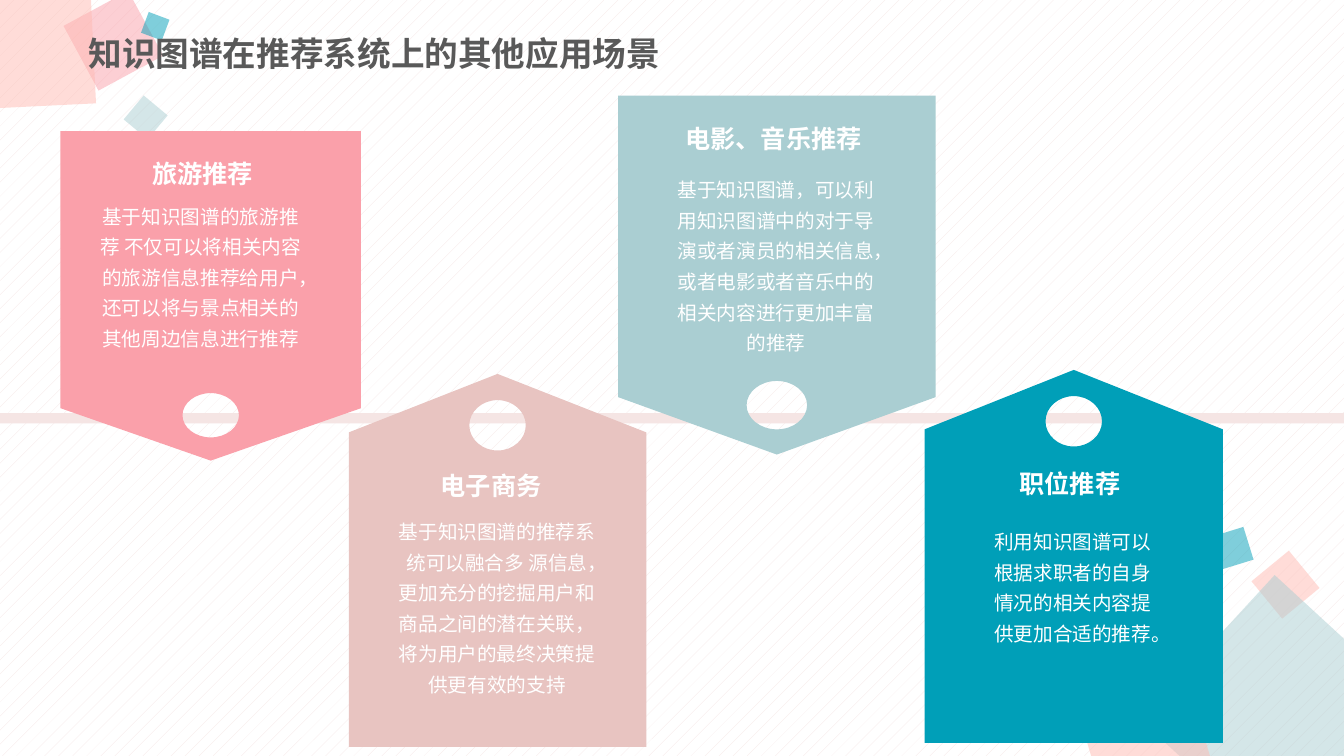
from collections import namedtuple

from lxml.etree import SubElement
from pptx import Presentation
from pptx.dml.color import RGBColor
from pptx.enum.dml import MSO_PATTERN
from pptx.enum.shapes import MSO_SHAPE as SHAPE
from pptx.enum.text import MSO_ANCHOR as ANCHOR, MSO_AUTO_SIZE as AUTO_SIZE, PP_ALIGN as ALIGN
from pptx.oxml.ns import qn
from pptx.util import Inches, Pt

WHITE = RGBColor(0xFF, 0xFF, 0xFF)
GREY = RGBColor(0x59, 0x59, 0x59)
PALE = RGBColor(0xF5, 0xE5, 0xE4)
PEACH = RGBColor(0xFF, 0xBB, 0xB3)
PINK = RGBColor(0xFA, 0xA0, 0xAA)
ROSE = RGBColor(0xE8, 0xC4, 0xC1)
MIST = RGBColor(0xAA, 0xCE, 0xD2)
TEAL = RGBColor(0x00, 0x9F, 0xB8)

CJK_FONT = "Noto Sans CJK SC"
HEADING_FONT = "TeX Gyre Adventor"

# left, top, side, rotation, colour
SQUARES = [
    (12.51, 5.56, 0.48, 320.6, PEACH),
    (11.72, 6.11, 1.96, 42.6, MIST),
    (10.75, 6.61, 1.13, 343.4, PEACH),
    (10.09, 6.73, 0.29, 342.8, PINK),
    (12.05, 5.27, 0.34, 342.8, TEAL),
    (0.76, 0.04, 0.73, 331.6, PINK),
    (-0.46, -0.32, 1.38, 357.2, PEACH),
    (1.29, 1.01, 0.31, 309.8, MIST),
    (1.43, 0.15, 0.22, 290.5, TEAL),
]

# The outline runs from tip to shoulder to base; hole is centre y, radius x, radius y.
# Heading and body areas are left, top, width, height.
Tag = namedtuple("Tag", "left width tip shoulder base hole colour "
                        "heading heading_area body body_area")
TAGS = [
    Tag(0.6, 2.98, 4.57, 4.05, 1.3, (4.12, 0.28, 0.22), PINK,
        "旅游推荐", (1.07, 1.43, 1.88, 0.46),
        "基于知识图谱的旅游推荐 不仅可以将相关内容的旅游信息推荐给用户，"
        "还可以将与景点相关的其他周边信息进行推荐", (0.85, 1.91, 2.28, 1.63)),
    Tag(3.46, 2.95, 3.71, 4.29, 7.41, (4.22, 0.28, 0.25), ROSE,
        "电子商务", (3.93, 4.53, 1.88, 0.46),
        "基于知识图谱的推荐系统可以融合多 源信息，更加充分的挖掘用户和"
        "商品之间的潜在关联， 将为用户的最终决策提供更有效的支持",
        (3.84, 5.04, 2.18, 1.94)),
    Tag(6.13, 3.15, 4.51, 3.94, 0.95, (4.02, 0.3, 0.24), MIST,
        "电影、音乐推荐 ", (6.57, 1.08, 2.26, 0.49),
        "基于知识图谱，可以利用知识图谱中的对于导演或者演员的相关信息，"
        "或者电影或者音乐中的相关内容进行更加丰富的推荐",
        (6.57, 1.65, 2.25, 1.94)),
    Tag(9.17, 2.96, 3.67, 4.26, 7.37, (4.18, 0.28, 0.25), TEAL,
        "职位推荐 ", (9.7, 4.51, 1.88, 0.46),
        "利用知识图谱可以根据求职者的自身情况的相关内容提供更加合适的推荐。",
        (9.7, 5.14, 1.88, 1.33)),
]


def paint(shape, colour):
    """Give a shape a plain fill without line or shadow."""
    shape.shadow.inherit = False
    shape.fill.solid()
    shape.fill.fore_color.rgb = colour
    shape.line.fill.background()


def add_rectangle(page, area, colour):
    """Add a plain rectangle at left, top, width, height."""
    shape = page.shapes.add_shape(SHAPE.RECTANGLE, *map(Inches, area))
    paint(shape, colour)
    return shape


def add_square(page, left, top, side, rotation, colour):
    """Add a turned, half-transparent decorative square."""
    square = add_rectangle(page, (left, top, side, side), colour)
    square.rotation = rotation
    fill_colour = square.fill._xPr.find(qn("a:solidFill"))[0]
    SubElement(fill_colour, qn("a:alpha")).set("val", "50000")


def add_text(page, area, text, size, font, colour=WHITE, bold=False):
    """Add a wrapped one-paragraph text box; return its frame and paragraph."""
    frame = page.shapes.add_textbox(*map(Inches, area)).text_frame
    frame.word_wrap = True
    para = frame.paragraphs[0]
    span = para.add_run()
    span.text = text
    span.font.size = Pt(size)
    span.font.name = font
    span.font.bold = bold
    span.font.color.rgb = colour
    SubElement(span.font._element, qn("a:ea")).set("typeface", CJK_FONT)
    return frame, para


def add_title(page, text):
    """Add the slide title."""
    frame, para = add_text(page, (0.78, 0.26, 6.13, 0.58), text, 24, CJK_FONT, GREY, True)
    frame.vertical_anchor = ANCHOR.MIDDLE
    para.line_spacing = 0.9
    para.space_before = Pt(10)


def add_tag_text(page, area, text, size, font, bold=False):
    """Add centred white text on a tag."""
    frame, para = add_text(page, area, text, size, font, bold=bold)
    frame.auto_size = AUTO_SIZE.SHAPE_TO_FIT_TEXT
    para.alignment = ALIGN.CENTER
    para.line_spacing = 1.3


def cut_hole(shape, middle, centre, radius_x, radius_y):
    """Cut an ellipse of four curves out of a freeform."""
    outline = next(shape._element.iter(qn("a:path")))

    def add_step(kind, *points):
        step = SubElement(outline, qn(kind))
        for x, y in points:
            point = SubElement(step, qn("a:pt"))
            point.set("x", str(Inches(middle + radius_x * x) - shape.left))
            point.set("y", str(Inches(centre + radius_y * y) - shape.top))

    bend = 0.55
    x, y = 0, -1
    add_step("a:moveTo", (x, y))
    for _ in range(4):
        next_x, next_y = -y, x
        add_step("a:cubicBezTo", (x + bend * next_x, y + bend * next_y),
                 (next_x + bend * x, next_y + bend * y), (next_x, next_y))
        x, y = next_x, next_y
    add_step("a:close")


def add_tag_outline(page, tag):
    """Add a pointed tag with a round hole cut through it."""
    middle, right = tag.left + tag.width / 2, tag.left + tag.width
    corners = [(middle, tag.tip), (right, tag.shoulder), (right, tag.base),
               (tag.left, tag.base), (tag.left, tag.shoulder)]
    start, *others = [(Inches(x), Inches(y)) for x, y in corners]
    builder = page.shapes.build_freeform(*start)
    builder.add_line_segments(others)
    shape = builder.convert_to_shape()
    cut_hole(shape, middle, *tag.hole)
    paint(shape, tag.colour)


def add_tag(page, tag):
    """Add a tag with its body and heading."""
    add_tag_outline(page, tag)
    add_tag_text(page, tag.body_area, tag.body, 14, CJK_FONT)
    add_tag_text(page, tag.heading_area, tag.heading, 18, HEADING_FONT, bold=True)


def set_background(page):
    """Fill the page with a light dotted pattern."""
    fill = page.background.fill
    fill.patterned()
    fill.pattern = MSO_PATTERN.PERCENT_5
    fill.fore_color.rgb = PALE
    fill.back_color.rgb = WHITE


def main():
    """Build and save the slide."""
    deck = Presentation()
    deck.slide_width, deck.slide_height = Inches(13.33), Inches(7.5)
    page = deck.slides.add_slide(deck.slide_layouts[6])
    set_background(page)
    for square in SQUARES:
        add_square(page, *square)
    add_title(page, "知识图谱在推荐系统上的其他应用场景")
    add_rectangle(page, (0, 4.1, 13.33, 0.1), PALE)
    for tag in TAGS:
        add_tag(page, tag)
    deck.save("out.pptx")


main()
